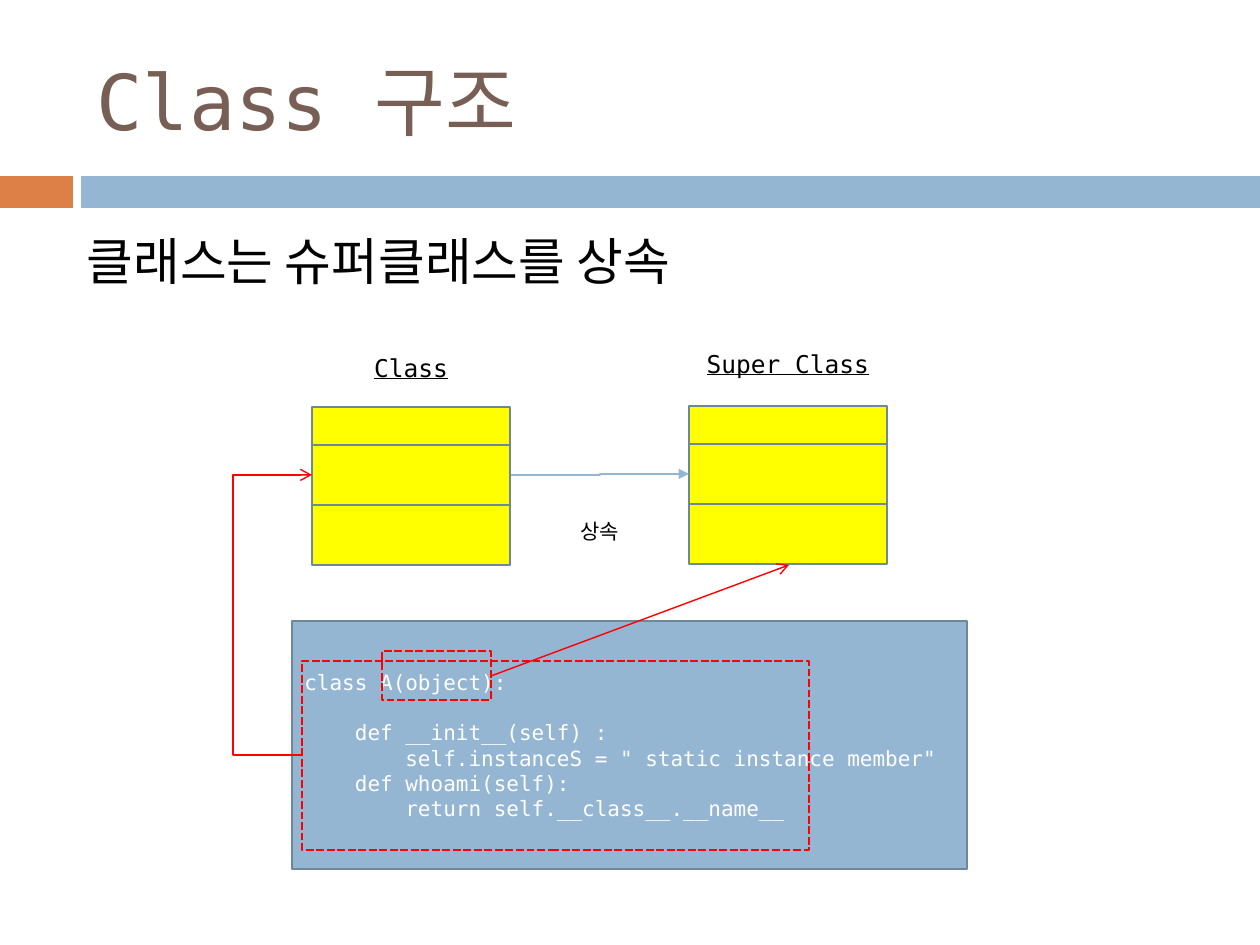
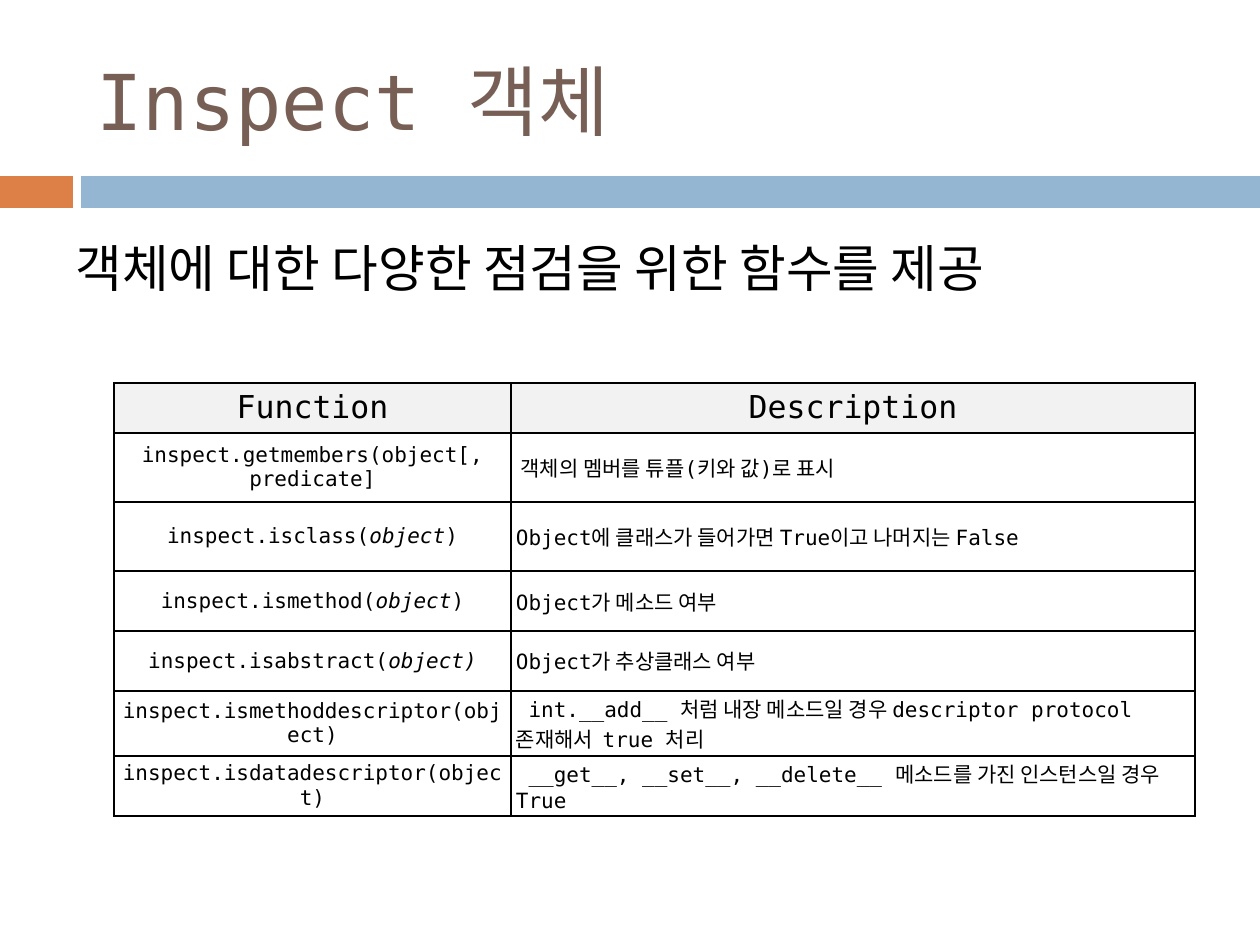
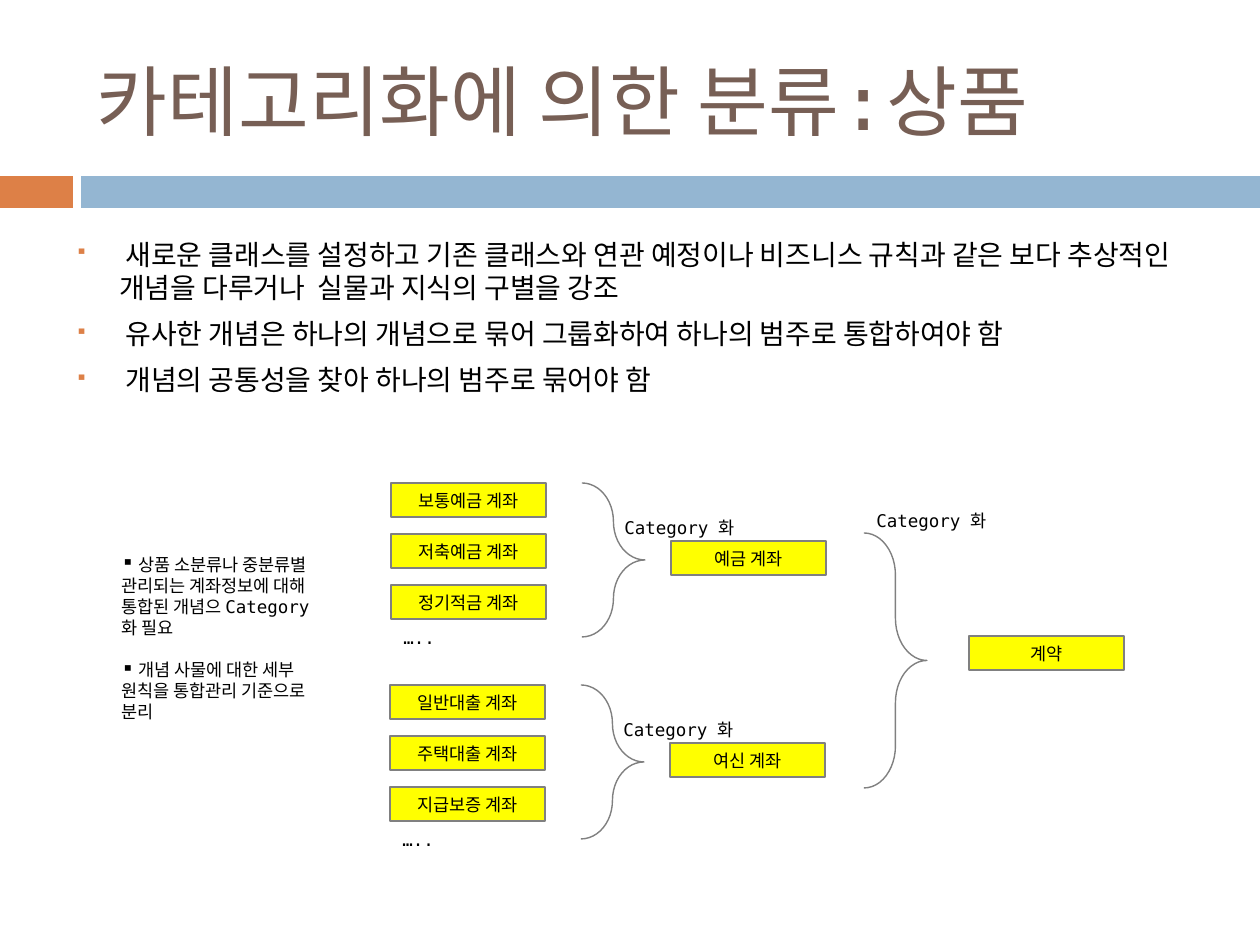
from lxml import etree
from pptx import Presentation
from pptx import util as u
from pptx.dml.color import RGBColor
from pptx.enum import dml, shapes, text
from pptx.oxml.ns import qn

FONT = "DejaVu Sans Mono"
BLACK = RGBColor(0x00, 0x00, 0x00)
WHITE = RGBColor(0xFF, 0xFF, 0xFF)
BROWN = RGBColor(0x77, 0x5F, 0x55)
ORANGE = RGBColor(0xDD, 0x80, 0x47)
BLUE = RGBColor(0x94, 0xB6, 0xD2)
STEEL = RGBColor(0x6D, 0x87, 0x9B)
YELLOW = RGBColor(0xFF, 0xFF, 0x00)
RED = RGBColor(0xFF, 0x00, 0x00)
GRAY = RGBColor(0x80, 0x80, 0x80)
PALE = RGBColor(0xF2, 0xF2, 0xF2)
LEFT, CENTER = text.PP_ALIGN.LEFT, text.PP_ALIGN.CENTER
RECTANGLE = shapes.MSO_SHAPE.RECTANGLE
BRACE = shapes.MSO_SHAPE.RIGHT_BRACE
STRAIGHT, ELBOW = shapes.MSO_CONNECTOR.STRAIGHT, shapes.MSO_CONNECTOR.ELBOW

SLIDE_SIZE = (1260, 945)
TITLE_BOX = (84, 32, 1124, 136)
BANDS = [((0, 176, 73, 32), ORANGE), ((81, 176, 1179, 32), BLUE)]

CLASS_TITLE = "Class 구조"
CLASS_LEAD = " 클래스는 슈퍼클래스를 상속"
CLASS_BOXES = [("Class", 312, 407, 347), ("Super Class", 689, 406, 343)]
COMPARTMENTS = [38, 60, 60]
CODE = [
    "class A(object):",
    "    ",
    "    def __init__(self) :",
    '        self.instanceS = " static instance member"',
    "    def whoami(self):",
    "        return self.__class__.__name__",
]
HIGHLIGHTS = [(382, 651, 109, 49), (302, 661, 507, 189)]

INSPECT_TITLE = "Inspect 객체"
INSPECT_LEAD = "객체에 대한 다양한 점검을 위한 함수를 제공"
COLUMN_WIDTHS = [397, 684]
FUNCTIONS = [
    (50, "Function", "Description"),
    (69, "inspect.getmembers(object[, predicate]", " 객체의 멤버를 튜플(키와 값)로 표시"),
    (69, "inspect.isclass(*object*)", "Object에 클래스가 들어가면 True이고 나머지는 False"),
    (60, "inspect.ismethod(*object*)", "Object가 메소드 여부"),
    (60, "inspect.isabstract(*object)*", "Object가 추상클래스 여부"),
    (65, "inspect.ismethoddescriptor(object)",
     " int.__add__ 처럼 내장 메소드일 경우 descriptor protocol 존재해서  true 처리"),
    (60, "inspect.isdatadescriptor(object)",
     " __get__, __set__, __delete__ 메소드를 가진 인스턴스일 경우 True"),
]

CATEGORY_TITLE = "카테고리화에 의한 분류:상품"
CATEGORY_POINTS = [
    " 새로운 클래스를 설정하고 기존 클래스와 연관 예정이나 비즈니스 규칙과 같은 보다 "
    "추상적인 개념을 다루거나  실물과 지식의 구별을 강조",
    " 유사한 개념은 하나의 개념으로 묶어 그룹화하여 하나의 범주로 통합하여야 함",
    " 개념의 공통성을 찾아 하나의 범주로 묶어야 함",
]
CATEGORY_NOTES = [
    " 상품 소분류나 중분류별 관리되는 계좌정보에 대해 통합된 개념으 Category 화 필요",
    " 개념 사물에 대한 세부 원칙을 통합관리 기준으로 분리",
]
CATEGORY_LABEL = "Category 화"
ACCOUNT_GROUPS = [
    (391, 483, ["보통예금 계좌", "저축예금 계좌", "정기적금 계좌"], "예금 계좌"),
    (390, 685, ["일반대출 계좌", "주택대출 계좌", "지급보증 계좌"], "여신 계좌"),
]
ACCOUNT_SIZE = (155, 34)
ACCOUNT_STEP = 51


def px(value):
    return u.Emu(round(value * 914400 / 126))


def place(box):
    return [px(value) for value in box]


def style_run(run, size, color, underline=None, italic=None):
    font = run.font
    font.size, font.name, font.color.rgb = u.Pt(size), FONT, color
    font.underline, font.italic = underline, italic


def write(shape, lines, size, color=BLACK, align=LEFT, underline=None):
    frame = shape.text_frame
    frame.word_wrap = True
    frame.text = "\n".join(lines)
    for paragraph in frame.paragraphs:
        paragraph.alignment = align
        for run in paragraph.runs:
            style_run(run, size, color, underline)


def add_text(slide, box, lines, size, **style):
    shape = slide.shapes.add_textbox(*place(box))
    write(shape, lines, size, **style)
    return shape


def add_box(slide, box, fill=None, line=None, width=1.5, kind=RECTANGLE):
    shape = slide.shapes.add_shape(kind, *place(box))
    shape.shadow.inherit = False
    if fill is None:
        shape.fill.background()
    else:
        shape.fill.solid()
        shape.fill.fore_color.rgb = fill
    if line is None:
        shape.line.fill.background()
    else:
        shape.line.color.rgb = line
        shape.line.width = u.Pt(width)
    return shape


def add_arrow(slide, kind, start, end, color, head, bend_x=None):
    connector = slide.shapes.add_connector(kind, *place(start + end))
    connector.line.color.rgb = color
    connector.line.width = u.Pt(0.79)
    properties = connector._element.spPr
    etree.SubElement(connector.line._get_or_add_ln(), qn("a:tailEnd"), type=head)
    etree.SubElement(properties, qn("a:effectLst"))
    if bend_x is not None:
        bend = round((bend_x - start[0]) / (end[0] - start[0]) * 100000)
        adjustments = properties.find(qn("a:prstGeom")).find(qn("a:avLst"))
        etree.SubElement(adjustments, qn("a:gd"), name="adj1", fmla=f"val {bend}")


def add_bullets(shape, space_before, indent=0, color=None, percent=100):
    for index, paragraph in enumerate(shape.text_frame.paragraphs):
        if index:
            paragraph.space_before = u.Pt(space_before)
        properties = paragraph._p.get_or_add_pPr()
        properties.set("marL", str(px(indent)))
        properties.set("indent", str(-px(indent)))
        if color is not None:
            bullet_color = etree.SubElement(properties, qn("a:buClr"))
            etree.SubElement(bullet_color, qn("a:srgbClr"), val=str(color))
        etree.SubElement(properties, qn("a:buSzPct"), val=str(percent * 1000))
        etree.SubElement(properties, qn("a:buChar"), char="▪")


def add_slide(presentation, title):
    slide = presentation.slides.add_slide(presentation.slide_layouts[5])
    shape = slide.shapes.title
    shape.left, shape.top, shape.width, shape.height = place(TITLE_BOX)
    write(shape, [title], 44, BROWN)
    shape.text_frame.vertical_anchor = text.MSO_ANCHOR.MIDDLE
    return slide


def add_bands(slide):
    for box, color in BANDS:
        band = add_box(slide, box, color)
        slide.slide_layout.shapes._spTree.append(band._element)


def build_class_slide(slide):
    add_text(slide, (63, 224, 1134, 164), [CLASS_LEAD], 29)
    for name, left, top, label_top in CLASS_BOXES:
        add_text(slide, (left, label_top, 198, 43), [name], 14, align=CENTER, underline=True)
        for height in COMPARTMENTS:
            add_box(slide, (left, top, 198, height), YELLOW, STEEL)
            top += height
    add_arrow(slide, ELBOW, (511, 475), (689, 474), BLUE, "triangle")
    add_text(slide, (541, 512, 118, 38), ["상속"], 12, align=CENTER)
    code_box = add_box(slide, (292, 621, 675, 248), BLUE, STEEL)
    write(code_box, CODE, 12, WHITE)
    for box in HIGHLIGHTS:
        add_box(slide, box, line=RED).line.dash_style = dml.MSO_LINE.SQUARE_DOT
    add_arrow(slide, STRAIGHT, (491, 676), (789, 565), RED, "arrow")
    add_arrow(slide, ELBOW, (302, 755), (312, 475), RED, "arrow", bend_x=233)


def outline_cell(cell):
    properties = cell._tc.get_or_add_tcPr()
    for index, side in enumerate(("lnL", "lnR", "lnT", "lnB")):
        line = etree.Element(qn(f"a:{side}"), w=str(u.Pt(1)))
        fill = etree.SubElement(line, qn("a:solidFill"))
        etree.SubElement(fill, qn("a:srgbClr"), val=str(BLACK))
        properties.insert(index, line)


def fill_cell(cell, content, is_header, align):
    if is_header:
        cell.fill.solid()
        cell.fill.fore_color.rgb = PALE
    else:
        cell.fill.background()
    cell.margin_left = cell.margin_right = px(5)
    cell.margin_top = cell.margin_bottom = px(2)
    cell.vertical_anchor = text.MSO_ANCHOR.MIDDLE
    paragraph = cell.text_frame.paragraphs[0]
    paragraph.alignment = align
    for index, part in enumerate(content.split("*")):
        if part:
            run = paragraph.add_run()
            run.text = part
            style_run(run, 18 if is_header else 12, BLACK, italic=index % 2 == 1)
    outline_cell(cell)


def build_inspect_slide(slide):
    add_text(slide, (63, 231, 1134, 134), [INSPECT_LEAD], 29)
    heights = [row[0] for row in FUNCTIONS]
    box = (114, 383, sum(COLUMN_WIDTHS), sum(heights))
    table = slide.shapes.add_table(len(FUNCTIONS), len(COLUMN_WIDTHS), *place(box)).table
    table.first_row = table.horz_banding = False
    for column, width in zip(table.columns, COLUMN_WIDTHS):
        column.width = px(width)
    for row_index, (height, *contents) in enumerate(FUNCTIONS):
        table.rows[row_index].height = px(height)
        is_header = row_index == 0
        for column_index, content in enumerate(contents):
            align = CENTER if is_header or column_index == 0 else LEFT
            fill_cell(table.cell(row_index, column_index), content, is_header, align)


def add_account(slide, left, top, name):
    shape = add_box(slide, (left, top, *ACCOUNT_SIZE), YELLOW, GRAY, 0.75)
    write(shape, [name], 10, align=CENTER)


def add_brace(slide, box):
    brace = add_box(slide, box, line=GRAY, width=0.79, kind=BRACE)
    brace.adjustments[0] = 0.67


def build_category_slide(slide):
    points = add_text(slide, (63, 231, 1134, 193), CATEGORY_POINTS, 16)
    add_bullets(points, 7, indent=44, color=ORANGE, percent=60)
    notes = add_text(slide, (109, 548, 229, 183), CATEGORY_NOTES, 10)
    add_bullets(notes, 12)
    for left, top, accounts, parent in ACCOUNT_GROUPS:
        for index, account in enumerate(accounts):
            add_account(slide, left, top + index * ACCOUNT_STEP, account)
        add_text(slide, (left, top + 138, 174, 34), ["….."], 10)
        add_brace(slide, (left + 191, top, 63, 154))
        add_text(slide, (left + 221, top + 28, 181, 34), [CATEGORY_LABEL], 10)
        add_account(slide, left + 280, top + 58, parent)
    add_brace(slide, (864, 533, 63, 255))
    add_text(slide, (864, 504, 181, 34), [CATEGORY_LABEL], 10)
    add_account(slide, 969, 636, "계약")


def main():
    presentation = Presentation()
    presentation.slide_width, presentation.slide_height = place(SLIDE_SIZE)
    class_slide = add_slide(presentation, CLASS_TITLE)
    add_bands(class_slide)
    build_class_slide(class_slide)
    build_inspect_slide(add_slide(presentation, INSPECT_TITLE))
    build_category_slide(add_slide(presentation, CATEGORY_TITLE))
    presentation.save("out.pptx")


if __name__ == "__main__":
    main()
